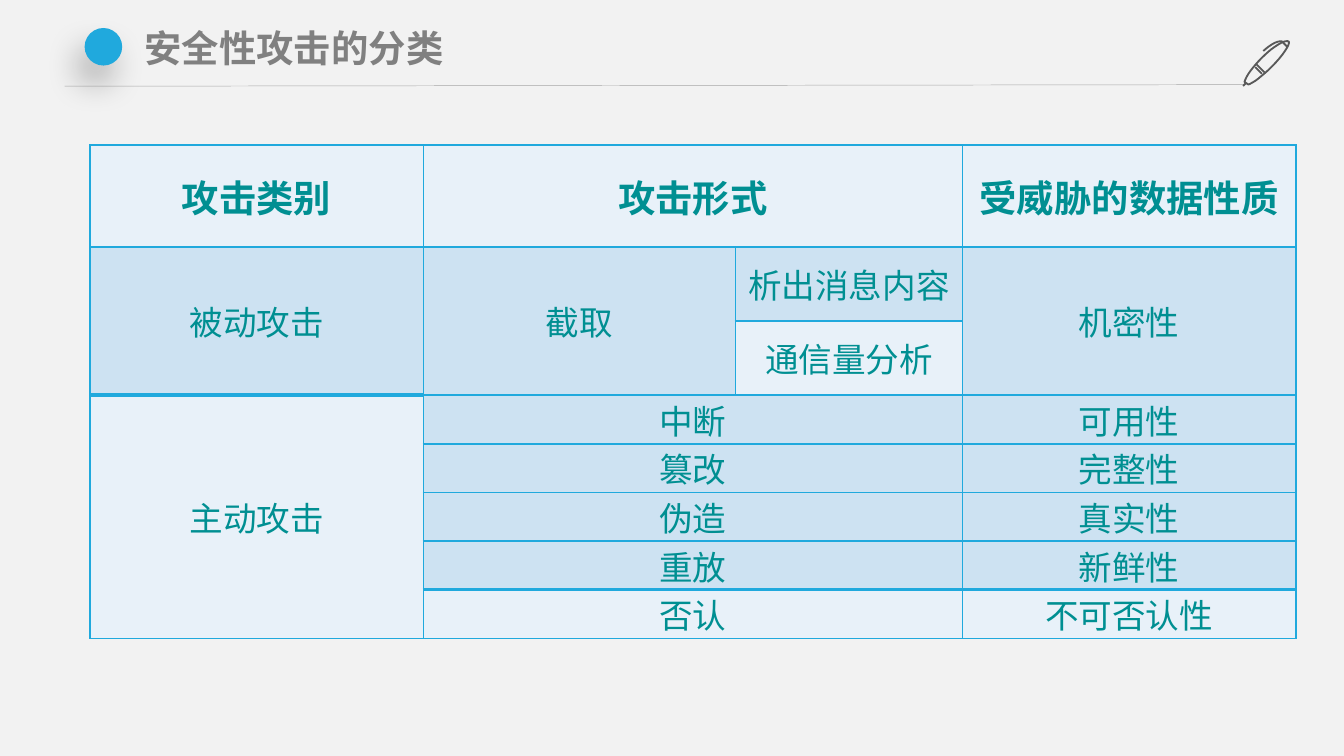
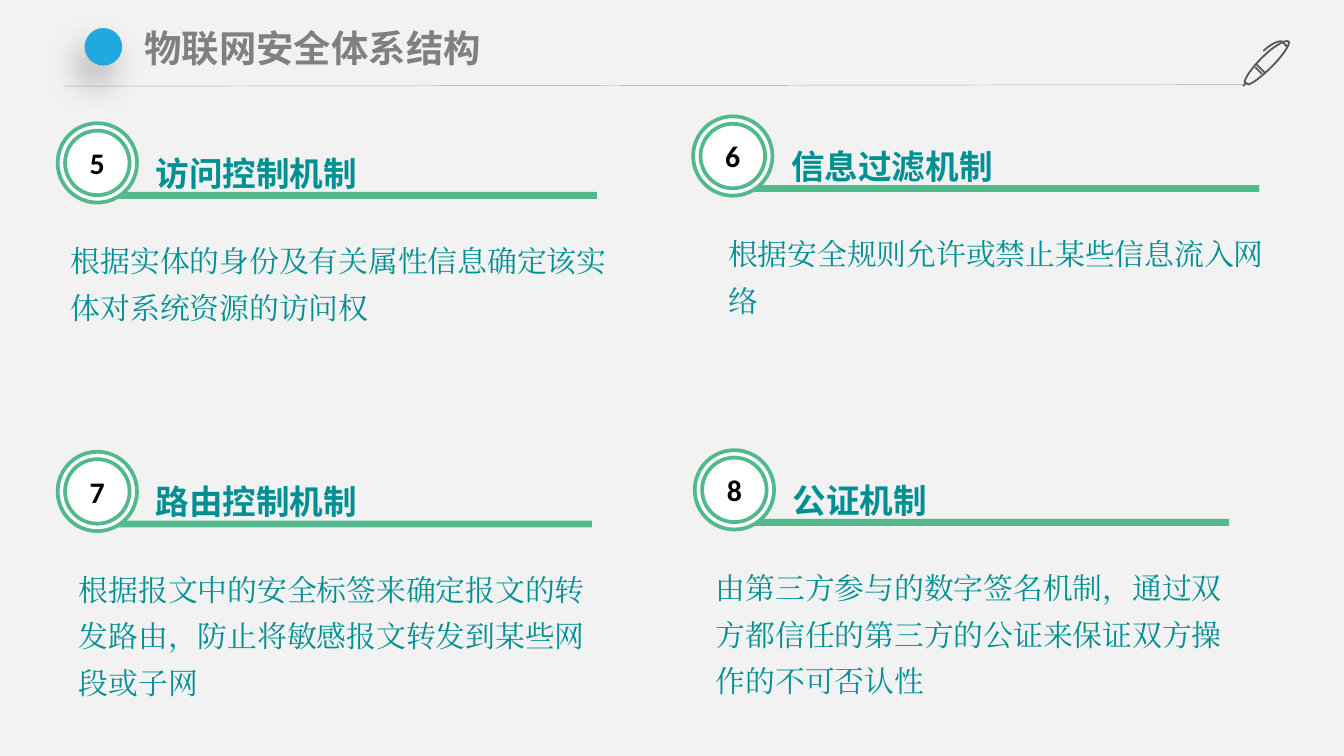
from dataclasses import dataclass

from lxml.etree import SubElement
from pptx import Presentation
from pptx.dml.color import RGBColor
from pptx.enum.shapes import MSO_CONNECTOR, MSO_SHAPE
from pptx.enum.text import MSO_ANCHOR, PP_ALIGN
from pptx.oxml.ns import qn
from pptx.util import Cm, Pt


# Theme: every colour, font and type size
@dataclass(frozen=True)
class Theme:
    background: str = "F2F2F2"
    accent: str = "20A9DD"
    green: str = "52B98C"
    teal: str = "008F92"
    title: str = "808080"
    rule: str = "A6A6A6"
    pen: str = "595959"
    white: str = "FFFFFF"
    black: str = "000000"
    cell_light: str = "E8F1F9"
    cell_dark: str = "CDE2F2"
    sans: str = "Noto Sans CJK SC"
    serif: str = "Times New Roman"
    digits: str = "Calibri"
    title_size: int = 20
    heading_size: int = 18
    body_size: int = 16


THEME = Theme()

# Pen icon, in hundredths of an inch on the slide
PEN_STRAIGHTS = [
    [(939, 55), (934, 50)],
    [(935, 48), (941, 54)],
    [(927, 62), (925, 64)],
]
PEN_BODY = [
    (959, 31), (957, 29), (948, 34), (939, 43), (932, 50), (927, 57), (926, 61),
    (929, 63), (929, 63), (929, 63), (932, 62), (939, 57), (946, 50),
    (955, 41), (960, 33), (959, 31),
]
PEN_CLIP = [(958, 35), (958, 35), (956, 33), (954, 31), (954, 31), (950, 29), (940, 38)]

# Attack table: an empty text belongs to a merged cell
ATTACKS = [
    ("攻击类别", "攻击形式", "", "受威胁的数据性质"),
    ("被动攻击", "截取", "析出消息内容", "机密性"),
    ("", "", "通信量分析", ""),
    ("主动攻击", "中断", "", "可用性"),
    ("", "篡改", "", "完整性"),
    ("", "伪造", "", "真实性"),
    ("", "重放", "", "新鲜性"),
    ("", "否认", "", "不可否认性"),
]
MERGES = [((0, 1), (0, 2)), ((1, 0), (2, 0)), ((1, 1), (2, 1)), ((1, 3), (2, 3)),
          ((3, 0), (7, 0))] + [((row, 1), (row, 2)) for row in range(3, 8)]
COLUMN_WIDTHS = [6.3, 5.9, 4.29, 6.3]
ROW_HEIGHTS = [1.93] + [1.4] * 2 + [0.92] * 5
LIGHT_CELLS = {(2, 2), (3, 0)}
THICK_TOPS = {(3, 0), (7, 1), (7, 2), (7, 3)}


# Security mechanisms, lengths in centimetres
@dataclass(frozen=True)
class Mechanism:
    number: int
    heading: str
    detail: str
    left: float
    top: float
    bar_width: float
    detail_left: float
    detail_width: float
    detail_height: float


MECHANISMS = [
    Mechanism(5, "访问控制机制", "根据实体的身份及有关属性信息确定该实体对系统资源的访问权",
              1.09, 2.33, 9.19, 1.09, 11, 1.96),
    Mechanism(6, "信息过滤机制", "根据安全规则允许或禁止某些信息流入网络",
              13.1, 2.2, 9.7, 13.51, 10.8, 1.96),
    Mechanism(7, "路由控制机制",
              "根据报文中的安全标签来确定报文的转发路由，防止将敏感报文转发到某些网段或子网",
              1.09, 8.54, 9.1, 1.24, 10.26, 2.84),
    Mechanism(8, "公证机制",
              "由第三方参与的数字签名机制，通过双方都信任的第三方的公证来保证双方操作的不可否认性",
              13.13, 8.51, 9.1, 13.28, 10.26, 2.84),
]


# Basic elements
def rgb(color):
    return RGBColor.from_string(color)


def write(frame, text, font, size, color, bold=False, align=PP_ALIGN.LEFT):
    frame.text = text
    paragraph = frame.paragraphs[0]
    paragraph.alignment = align
    for run in paragraph.runs:
        run.font.size = Pt(size)
        run.font.bold = bold
        run.font.color.rgb = rgb(color)
        run.font.name = font
        SubElement(run.font._element, qn("a:ea"), typeface=font)
    return paragraph


def set_margins(holder, side, top, bottom):
    holder.margin_left = holder.margin_right = Cm(side)
    holder.margin_top, holder.margin_bottom = Cm(top), Cm(bottom)


def add_filled(shapes, kind, left, top, width, height, fill, line=None):
    shape = shapes.add_shape(kind, Cm(left), Cm(top), Cm(width), Cm(height))
    shape.shadow.inherit = False
    shape.fill.solid()
    shape.fill.fore_color.rgb = rgb(fill)
    if line:
        shape.line.color.rgb = rgb(line)
        shape.line.width = Pt(2)
    else:
        shape.line.fill.background()
    return shape


def add_text(slide, left, top, width, height, text, font, size, bold=False):
    box = slide.shapes.add_textbox(Cm(left), Cm(top), Cm(width), Cm(height))
    frame = box.text_frame
    frame.word_wrap = True
    set_margins(frame, 0.25, 0.23, 0.13)
    paragraph = write(frame, text, font, size, THEME.teal, bold)
    paragraph.line_spacing = 1.3
    paragraph.space_after = Pt(3)


# Shared header
def add_rule(slide):
    rule = slide.shapes.add_connector(
        MSO_CONNECTOR.STRAIGHT, Cm(1.22), Cm(1.63), Cm(23.5), Cm(1.6))
    rule.line.color.rgb = rgb(THEME.rule)
    rule.line.width = Pt(0.25)
    SubElement(rule.element.spPr, qn("a:effectLst"))
    return rule


def sample_curve(points, steps=8):
    """Turn a chain of cubic curves into a fine polyline."""
    line = [points[0]]
    for start in range(0, len(points) - 1, 3):
        curve = points[start:start + 4]
        for step in range(1, steps + 1):
            t = step / steps
            weights = ((1 - t) ** 3, 3 * t * (1 - t) ** 2, 3 * t * t * (1 - t), t ** 3)
            line.append(tuple(sum(w * point[axis] for w, point in zip(weights, curve))
                              for axis in (0, 1)))
    return line


def add_pen(slide):
    strokes = PEN_STRAIGHTS + [sample_curve(PEN_BODY), sample_curve(PEN_CLIP)]
    fine = [[(x * 10, y * 10) for x, y in stroke] for stroke in strokes]
    builder = slide.shapes.build_freeform(*fine[0][0], scale=Cm(2.54) / 1000)
    for index, stroke in enumerate(fine):
        if index:
            builder.move_to(*stroke[0])
        builder.add_line_segments(stroke[1:], close=stroke[0] == stroke[-1])
    pen = builder.convert_to_shape()
    pen.shadow.inherit = False
    pen.fill.background()
    pen.line.color.rgb = rgb(THEME.pen)
    pen.line.width = Pt(1)
    return pen


def add_title_dot(slide):
    dot = add_filled(slide.shapes, MSO_SHAPE.OVAL, 1.6, 0.53, 0.71, 0.71, THEME.accent)
    effects = dot.element.spPr.find(qn("a:effectLst"))
    shadow = SubElement(effects, qn("a:outerShdw"), blurRad=str(Pt(18)),
                        dist=str(Pt(11)), dir=str(113 * 60000), rotWithShape="0")
    color = SubElement(shadow, qn("a:srgbClr"), val=THEME.black)
    SubElement(color, qn("a:alpha"), val="27000")
    return dot


def move_header_to_layout(slide):
    parts = [add_rule(slide), add_pen(slide), add_title_dot(slide)]
    for shape_id, part in enumerate(parts, start=20):
        part.element.xpath("./*/p:cNvPr")[0].set("id", str(shape_id))
        slide.slide_layout.shapes.element.append(part.element)


def add_titled_slide(prs, text):
    slide = prs.slides.add_slide(prs.slide_layouts[5])
    title = slide.shapes.title
    title.left, title.top, title.width, title.height = Cm(2.49), Cm(0.36), Cm(21), Cm(1.09)
    frame = title.text_frame
    frame.word_wrap = True
    frame.vertical_anchor = MSO_ANCHOR.TOP
    set_margins(frame, 0.24, 0.11, 0.11)
    write(frame, text, THEME.sans, THEME.title_size, THEME.title, bold=True)
    return slide


# Attack table
def set_borders(cell, top_width):
    properties = cell._tc.get_or_add_tcPr()
    for side in ("lnL", "lnR", "lnT", "lnB"):
        width = top_width if side == "lnT" else 1
        border = SubElement(properties, qn(f"a:{side}"), w=str(Pt(width)))
        fill = SubElement(border, qn("a:solidFill"))
        SubElement(fill, qn("a:srgbClr"), val=THEME.accent)


def add_attack_table(slide):
    table = slide.shapes.add_table(
        len(ATTACKS), len(COLUMN_WIDTHS), Cm(1.7), Cm(2.74),
        Cm(sum(COLUMN_WIDTHS)), Cm(sum(ROW_HEIGHTS))).table
    table.first_row = table.horz_banding = False
    for column, width in zip(table.columns, COLUMN_WIDTHS):
        column.width = Cm(width)
    for row, height in zip(table.rows, ROW_HEIGHTS):
        row.height = Cm(height)

    last = len(ATTACKS) - 1
    for r, texts in enumerate(ATTACKS):
        for c, text in enumerate(texts):
            cell = table.cell(r, c)
            set_margins(cell, 0.18, 0, 0)
            cell.vertical_anchor = MSO_ANCHOR.MIDDLE
            set_borders(cell, 2 if (r, c) in THICK_TOPS else 1)
            light = r in (0, last) or (r, c) in LIGHT_CELLS
            cell.fill.solid()
            cell.fill.fore_color.rgb = rgb(THEME.cell_light if light else THEME.cell_dark)
            size = THEME.heading_size if r else THEME.title_size
            write(cell.text_frame, text, THEME.sans, size, THEME.teal,
                  bold=r == 0, align=PP_ALIGN.CENTER)
    for first, final in MERGES:
        table.cell(*first).merge(table.cell(*final))


# Mechanism blocks
def add_badge(slide, number, left, top):
    badge = slide.shapes.add_group_shape()
    for inset in (0, 0.14):
        size = 1.5 - 2 * inset
        ring = add_filled(badge.shapes, MSO_SHAPE.OVAL, left + inset, top + inset,
                          size, size, THEME.white, THEME.green)
    frame = ring.text_frame
    set_margins(frame, 0, 0, 0)
    frame.vertical_anchor = MSO_ANCHOR.MIDDLE
    write(frame, str(number), THEME.digits, THEME.body_size, THEME.black,
          bold=True, align=PP_ALIGN.CENTER)


def add_mechanism(slide, item):
    add_filled(slide.shapes, MSO_SHAPE.RECTANGLE, item.left + 1, item.top + 1.3,
               item.bar_width, 0.13, THEME.green)
    add_badge(slide, item.number, item.left, item.top)
    add_text(slide, item.left + 1.6, item.top + 0.1, 5.3, 1.17,
             item.heading, THEME.sans, THEME.heading_size, bold=True)
    add_text(slide, item.detail_left, item.top + 1.83, item.detail_width,
             item.detail_height, item.detail, THEME.serif, THEME.body_size)


def main():
    prs = Presentation()
    prs.slide_width, prs.slide_height = Cm(25.4), Cm(14.29)
    background = prs.slide_master.background.fill
    background.solid()
    background.fore_color.rgb = rgb(THEME.background)

    attacks = add_titled_slide(prs, "安全性攻击的分类")
    move_header_to_layout(attacks)
    add_attack_table(attacks)

    architecture = add_titled_slide(prs, "物联网安全体系结构")
    for item in MECHANISMS:
        add_mechanism(architecture, item)

    prs.save("out.pptx")


if __name__ == "__main__":
    main()
